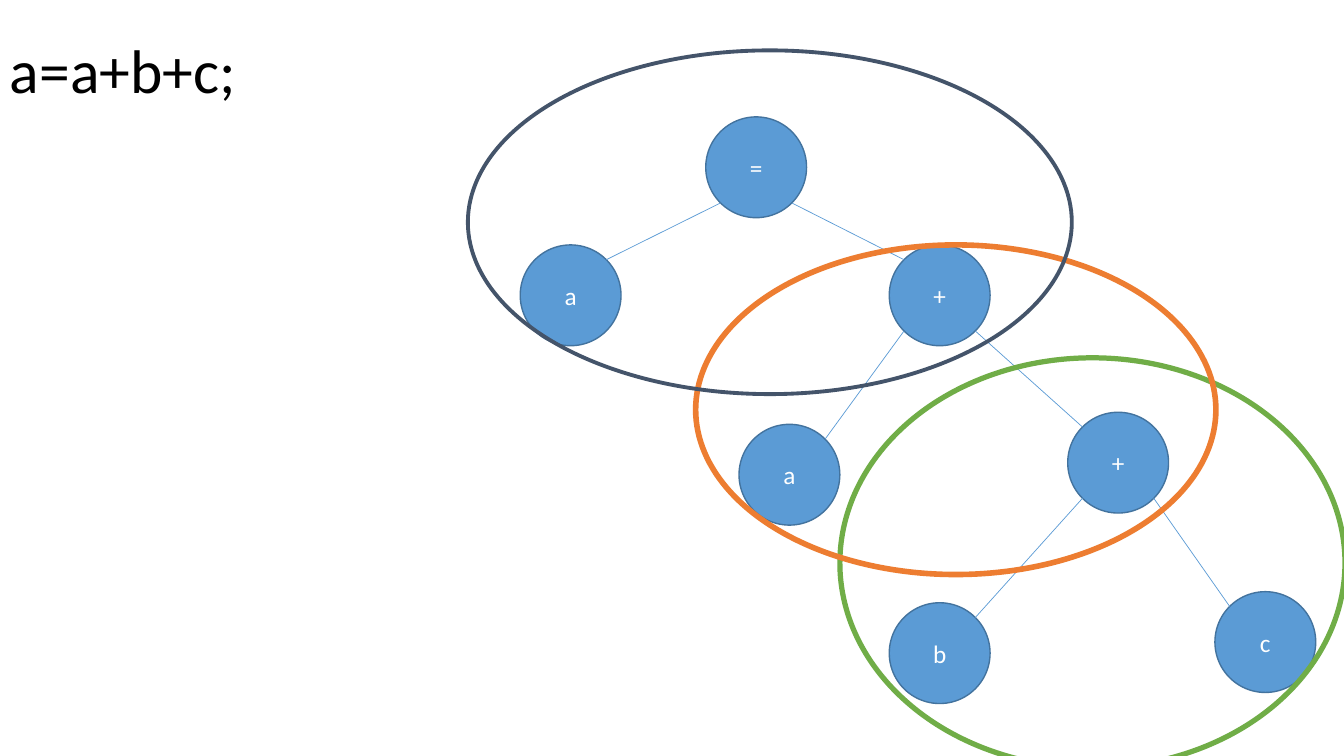
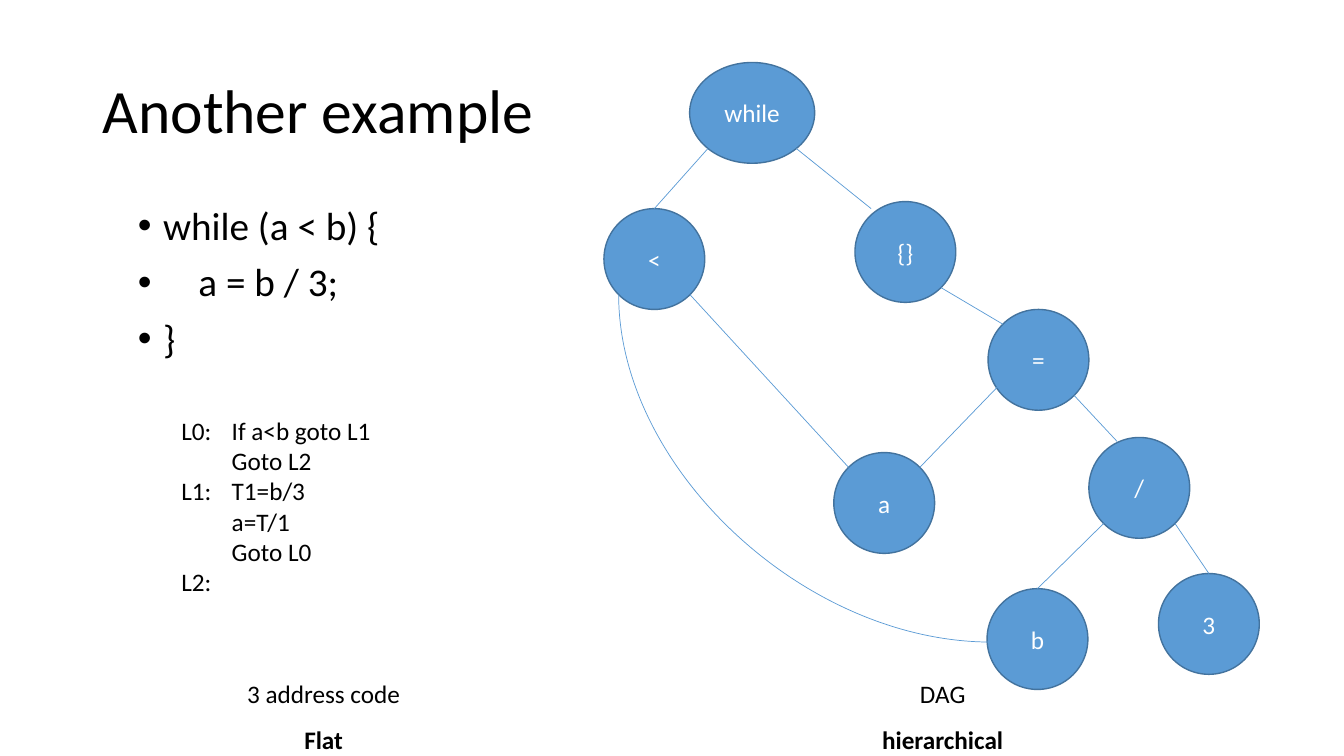
import math
import pptx
import pptx.dml.color
import pptx.enum.shapes
import pptx.enum.text
import pptx.oxml
import pptx.oxml.ns
import pptx.util

PX = 9144  # EMU in one px, 100 px to the inch
SLIDE_SIZE = (1333, 750)
FONT = "Calibri"
COLORS = {"text": "000000", "node": "5B9BD5", "node_line": "43739E", "node_text": "FFFFFF",
          "green": "70AD47", "orange": "ED7D31", "navy": "44546A"}
NODE_SIZE = 100
TITLE_SIZE = (1150, 145)

# Connection sites of an ellipse: index, and angle in degrees clockwise from the right
SITES = {"top": (0, 270), "top left": (1, 225), "left": (2, 180),
         "bottom left": (3, 135), "bottom right": (5, 45), "top right": (7, 315)}

# Assignment slide: nodes are key: (label, left, top[, width]);
# edges are parent, site, child, site; a point may stand in for a site
ASSIGNMENT_TITLE = ("a=a+b+c;", 0, 0)
ASSIGNMENT_NODES = {
    "assign": ("=", 700, 116),
    "outer sum": ("+", 882, 243),
    "inner sum": ("+", 1059, 409),
    "c": ("c", 1205, 587),
    "b": ("b", 882, 598),
    "operand a": ("a", 733, 421),
    "target a": ("a", 516, 243),
}
ASSIGNMENT_EDGES = [
    ("assign", "bottom left", "target a", "top right"),
    ("outer sum", "bottom left", "operand a", "top right"),
    ("inner sum", "bottom left", "b", "top right"),
    ("inner sum", "bottom right", "c", "top left"),
    ("outer sum", "bottom right", "inner sum", "top left"),
    ("assign", "bottom right", "outer sum", "top left"),
]
RINGS = [  # left, top, width, height, colour, line points
    (833, 355, 501, 407, "green", 3.75),
    (690, 243, 516, 327, "orange", 4),
    (464, 50, 599, 341, "navy", 2.75),
]

# Loop slide
LOOP_TITLE = ("Another example", 92, 40)
LOOP_SOURCE = [("while (a < b) {", 25), ("a = b / 3;", 60), ("}", 25)]  # text, indent
LOOP_NODES = {
    "while": ("while", 684, 62, 124),
    "less": ("<", 599, 207),
    "block": ("{}", 848, 200),
    "assign": ("=", 980, 307),
    "a": ("a", 827, 449),
    "divide": ("/", 1080, 434),
    "b": ("b", 979, 584),
    "3": ("3", 1149, 569),
}
LOOP_EDGES = [
    ("while", "bottom right", "block", (864, 207)),
    ("while", "bottom left", "less", "top"),
    ("block", "bottom right", "assign", "top left"),
    ("assign", (995, 378), "a", "top right"),
    ("divide", "bottom left", "b", "top"),
    ("divide", "bottom right", "3", "top"),
    ("assign", "bottom right", "divide", (1108, 438)),
    ("less", "bottom right", "a", "top left"),
]
LOOP_CURVE = ("less", "bottom left", "b", (983, 637))
ADDRESS_CODE = ["L0: \tIf a<b goto L1", "\tGoto L2", "L1: \tT1=b/3",
                "\ta=T/1", "\tGoto L0", "L2:"]
CAPTIONS = [(321, "3 address code", "Flat"), (935, "DAG", "hierarchical")]  # centre, form, kind
CAPTION_TOPS = (668, 714)
CAPTION_SIZE = (180, 40)


def px(*lengths):
    return [pptx.util.Emu(round(length * PX)) for length in lengths]


def rgb(name):
    return pptx.dml.color.RGBColor.from_string(COLORS[name])


def style_paragraph(paragraph, size, color="text", bold=False):
    for run in paragraph.runs:
        run.font.name = FONT
        run.font.size = pptx.util.Pt(size)
        run.font.bold = bold
        run.font.color.rgb = rgb(color)


def add_text(slide, box, text, size, bold=False, align=None, anchor="TOP", spacing=None):
    frame = slide.shapes.add_textbox(*px(*box)).text_frame
    frame.word_wrap = True
    frame.vertical_anchor = getattr(pptx.enum.text.MSO_ANCHOR, anchor)
    frame.text = text
    for paragraph in frame.paragraphs:
        paragraph.alignment = align
        paragraph.line_spacing = spacing
        style_paragraph(paragraph, size, bold=bold)
    return frame


def add_title(slide, text, left, top):
    add_text(slide, (left, top, *TITLE_SIZE), text, 44, anchor="MIDDLE", spacing=0.9)


def add_ellipse(slide, box, line_color, line_width, fill=None):
    shape = slide.shapes.add_shape(pptx.enum.shapes.MSO_SHAPE.OVAL, *px(*box))
    shape.shadow.inherit = False
    if fill:
        shape.fill.solid()
        shape.fill.fore_color.rgb = rgb(fill)
    else:
        shape.fill.background()
    shape.line.color.rgb = rgb(line_color)
    shape.line.width = pptx.util.Pt(line_width)
    return shape


def add_node(slide, label, left, top, width=NODE_SIZE):
    shape = add_ellipse(slide, (left, top, width, NODE_SIZE), "node_line", 1, "node")
    frame = shape.text_frame
    frame.text = label
    frame.vertical_anchor = pptx.enum.text.MSO_ANCHOR.MIDDLE
    frame.paragraphs[0].alignment = pptx.enum.text.PP_ALIGN.CENTER
    style_paragraph(frame.paragraphs[0], 18, "node_text")
    return shape


def locate(node, site):
    """Return the point, in EMU, of a named site or an explicit point."""
    if isinstance(site, tuple):
        return px(*site)
    angle = math.radians(SITES[site][1])
    return (node.left + node.width * (1 + math.cos(angle)) / 2,
            node.top + node.height * (1 + math.sin(angle)) / 2)


def add_edge(slide, nodes, edge, curved=False):
    start, start_site, end, end_site = edge
    x1, y1 = locate(nodes[start], start_site)
    x2, y2 = locate(nodes[end], end_site)
    kind = pptx.enum.shapes.MSO_CONNECTOR.STRAIGHT
    if curved:
        # The arc is laid out a quarter turn away, then rotated into place
        kind = pptx.enum.shapes.MSO_CONNECTOR.CURVE
        center_x, center_y = (x1 + x2) / 2, (y1 + y2) / 2
        half_x, half_y = (x2 - x1) / 2, (y2 - y1) / 2
        x1, y1 = center_x + half_y, center_y - half_x
        x2, y2 = center_x - half_y, center_y + half_x
    connector = slide.shapes.add_connector(kind, *map(round, (x1, y1, x2, y2)))
    connector.line.color.rgb = rgb("node")
    connector.line.width = pptx.util.Pt(0.5)
    element = connector._element
    properties = element.spPr
    pptx.oxml.ns.qn("a:effectLst")
    properties.append(pptx.oxml.parse_xml(
        f'<a:effectLst {pptx.oxml.ns.nsdecls("a")}/>'))
    if curved:
        properties.find(pptx.oxml.ns.qn("a:xfrm")).set("rot", "16200000")
        properties.find(pptx.oxml.ns.qn("a:prstGeom")).set("prst", "curvedConnector2")
    # Attach the ends that sit on a connection site
    holder = element.find(".//" + pptx.oxml.ns.qn("p:cNvCxnSpPr"))
    for tag, key, site in (("stCxn", start, start_site), ("endCxn", end, end_site)):
        if site in SITES:
            holder.append(pptx.oxml.parse_xml(
                f'<a:{tag} {pptx.oxml.ns.nsdecls("a")} '
                f'id="{nodes[key].shape_id}" idx="{SITES[site][0]}"/>'))


def add_tree(slide, node_data, edges):
    nodes = {key: add_node(slide, *values) for key, values in node_data.items()}
    for edge in edges:
        add_edge(slide, nodes, edge)
    return nodes


def add_bullets(slide, box, lines):
    frame = add_text(slide, box, "\n".join(text for text, _ in lines), 28, spacing=0.9)
    for paragraph, (_, indent) in zip(frame.paragraphs, lines):
        paragraph.space_before = pptx.util.Pt(10)
        properties = paragraph._p.get_or_add_pPr()
        properties.set("marL", str(indent * PX))
        properties.set("indent", str(-indent * PX))
        for xml in ('<a:buFont {} typeface="Arial"/>', '<a:buChar {} char="•"/>'):
            properties.append(pptx.oxml.parse_xml(xml.format(pptx.oxml.ns.nsdecls("a"))))


def build_assignment(slide):
    add_title(slide, *ASSIGNMENT_TITLE)
    add_tree(slide, ASSIGNMENT_NODES, ASSIGNMENT_EDGES)
    for *box, color, width in RINGS:
        add_ellipse(slide, box, color, width)


def build_loop(slide):
    add_title(slide, *LOOP_TITLE)
    add_bullets(slide, (127, 200, 1150, 476), LOOP_SOURCE)
    nodes = add_tree(slide, LOOP_NODES, LOOP_EDGES)
    add_edge(slide, nodes, LOOP_CURVE, curved=True)
    add_text(slide, (170, 407, 424, 192), "\n".join(ADDRESS_CODE), 18)
    # Captions under the code and the graph
    for center, *words in CAPTIONS:
        for top, word, bold in zip(CAPTION_TOPS, words, (False, True)):
            add_text(slide, (center - CAPTION_SIZE[0] / 2, top, *CAPTION_SIZE), word, 18,
                     bold=bold, align=pptx.enum.text.PP_ALIGN.CENTER)


def main():
    presentation = pptx.Presentation()
    presentation.slide_width, presentation.slide_height = px(*SLIDE_SIZE)
    for build in (build_assignment, build_loop):
        build(presentation.slides.add_slide(presentation.slide_layouts[6]))
    presentation.save("out.pptx")


if __name__ == "__main__":
    main()
